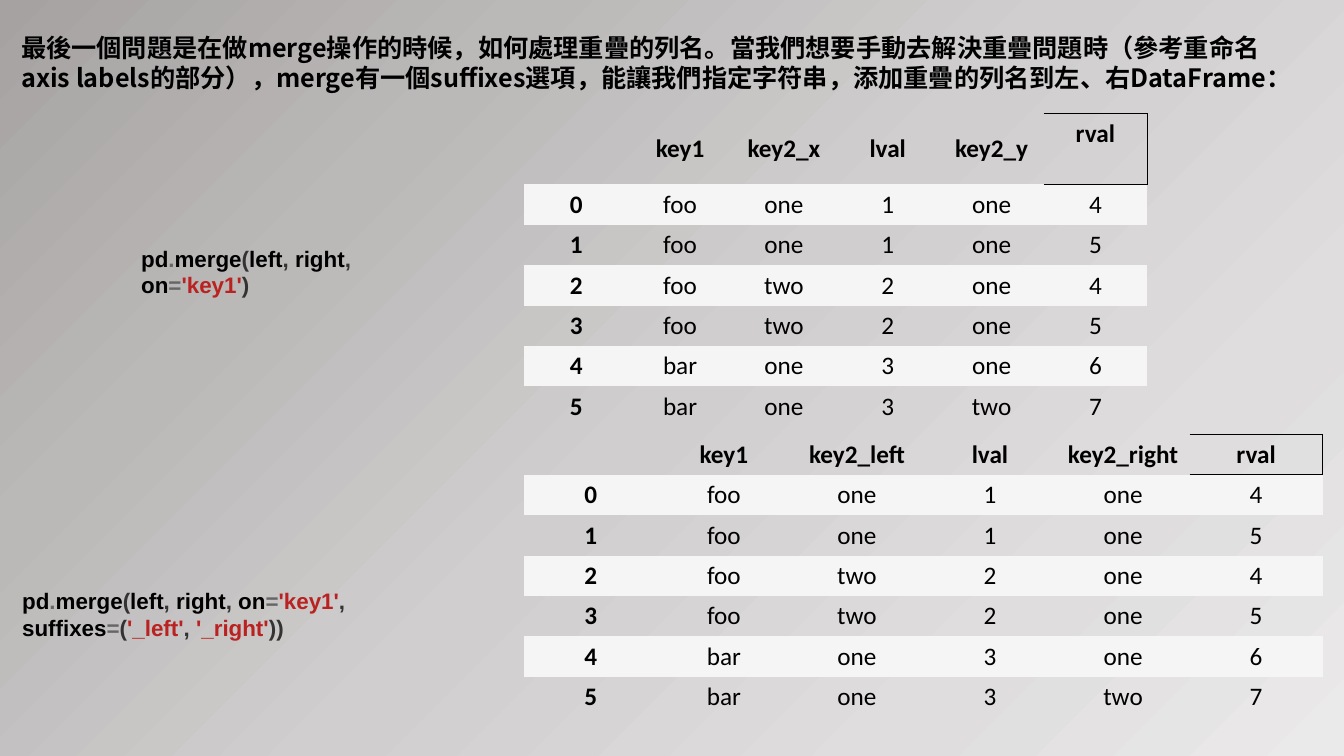
import lxml.etree
import pptx
import pptx.dml.color
import pptx.enum.text
import pptx.oxml
import pptx.oxml.ns
import pptx.util
from pptx.util import Inches

COLORS = {
    "black": "000000", "operator": "666666", "punct": "333333",
    "string": "BA2121", "band": "F5F5F5",
}
BACKGROUND = [(0, "A6A2A2"), (26, "BBB8B8"), (51, "D0CECE"), (78, "DFDDDD"), (100, "EBEAEA")]
NO_STYLE = "{2D5ABB26-0587-4C30-8999-92F81FD0307C}"
QUESTION = (
    "最後一個問題是在做merge操作的時候，如何處理重疊的列名。"
    "當我們想要手動去解決重疊問題時（參考重命名axis labels的部分），"
    "merge有一個suffixes選項，能讓我們指定字符串，添加重疊的列名到左、右DataFrame："
)
MERGE_CALL = [
    ("pd", "black"), (".", "operator"), ("merge", "black"), ("(", "punct"),
    ("left", "black"), (", ", "punct"), ("right", "black"), (", ", "punct"),
    ("on", "black"), ("=", "operator"), ("'key1'", "string"),
]
SUFFIXES = [
    (", ", "punct"), ("suffixes", "black"), ("=", "operator"), ("(", "punct"),
    ("'_left'", "string"), (", ", "punct"), ("'_right'", "string"), ("))", "punct"),
]
MERGED_ROWS = [
    ("foo", "one", 1, "one", 4),
    ("foo", "one", 1, "one", 5),
    ("foo", "two", 2, "one", 4),
    ("foo", "two", 2, "one", 5),
    ("bar", "one", 3, "one", 6),
    ("bar", "one", 3, "two", 7),
]


def rgb(name):
    return pptx.dml.color.RGBColor.from_string(COLORS[name])


def set_font(font, name, size, bold):
    font.name = name
    font.size = pptx.util.Pt(size)
    font.bold = bold


def set_background(s):
    fill = s.background.fill
    fill.gradient()
    fill.gradient_angle = 315  # counter-clockwise, so it runs to the lower right
    stops = s.element.find(".//" + pptx.oxml.ns.qn("a:gsLst"))
    for stop in list(stops):
        stops.remove(stop)
    for pos, color in BACKGROUND:
        gs = lxml.etree.SubElement(stops, pptx.oxml.ns.qn("a:gs"), pos=str(pos * 1000))
        lxml.etree.SubElement(gs, pptx.oxml.ns.qn("a:srgbClr"), val=color)


def set_title(s, text):
    sp = s.shapes.title
    sp.left, sp.top, sp.width, sp.height = Inches(0.11), Inches(0.27), Inches(12.91), Inches(0.71)
    tf = sp.text_frame
    tf.word_wrap = True
    tf.auto_size = pptx.enum.text.MSO_AUTO_SIZE.SHAPE_TO_FIT_TEXT
    tf.vertical_anchor = pptx.enum.text.MSO_ANCHOR.TOP
    p = tf.paragraphs[0]
    p.alignment = pptx.enum.text.PP_ALIGN.LEFT
    r = p.add_run()
    r.text = text
    set_font(r.font, "Noto Sans CJK SC", 18, True)
    r.font.color.rgb = rgb("black")
    lxml.etree.SubElement(r.font._element, pptx.oxml.ns.qn("a:ea"), typeface="Noto Sans CJK SC")


def add_code(s, left, top, width, tokens):
    sp = s.shapes.add_textbox(Inches(left), Inches(top), Inches(width), Inches(0.53))
    tf = sp.text_frame
    tf.word_wrap = True
    tf.vertical_anchor = pptx.enum.text.MSO_ANCHOR.MIDDLE
    tf.margin_left = tf.margin_top = tf.margin_right = tf.margin_bottom = 0
    p = tf.paragraphs[0]
    set_font(p.font, "Arial", 16, True)
    for text, color in tokens:
        r = p.add_run()
        r.text = text
        r.font.color.rgb = rgb(color)


def add_border(cell):
    """Outline the top, right and bottom of a cell."""
    props = cell._tc.get_or_add_tcPr()
    for index, side in enumerate(("R", "T", "B")):
        line = pptx.oxml.parse_xml(
            f'<a:ln{side} {pptx.oxml.ns.nsdecls("a")} w="12700"><a:solidFill>'
            f'<a:srgbClr val="{COLORS["black"]}"/></a:solidFill></a:ln{side}>')
        props.insert(index, line)


def fill_cell(cell, text, bold, banded):
    if banded:
        cell.fill.solid()
        cell.fill.fore_color.rgb = rgb("band")
    else:
        cell.fill.background()
    cell.vertical_anchor = pptx.enum.text.MSO_ANCHOR.MIDDLE
    p = cell.text_frame.paragraphs[0]
    p.text = text
    p.alignment = pptx.enum.text.PP_ALIGN.CENTER
    set_font(p.font, "Calibri", 18, bold)
    p.font.color.rgb = rgb("black")


def add_frame(s, top, column_width, header_height, header):
    """Add a data frame table with an index column."""
    rows = [("", *header)] + [(i, *row) for i, row in enumerate(MERGED_ROWS)]
    row_height = 0.4
    table = s.shapes.add_table(
        len(rows), len(rows[0]), Inches(5.2), Inches(top), Inches(column_width * len(rows[0])),
        Inches(header_height + row_height * len(MERGED_ROWS))).table
    table.first_row = table.horz_banding = False
    table._tbl.tblPr.find(pptx.oxml.ns.qn("a:tableStyleId")).text = NO_STYLE
    for column in table.columns:
        column.width = Inches(column_width)
    for i, row in enumerate(rows):
        table.rows[i].height = Inches(row_height if i else header_height)
        for j, value in enumerate(row):
            fill_cell(table.cell(i, j), str(value), i == 0 or j == 0, i % 2 == 1)
    last_header = table.cell(0, len(header))
    last_header.vertical_anchor = pptx.enum.text.MSO_ANCHOR.TOP
    add_border(last_header)


def main():
    prs = pptx.Presentation()
    prs.slide_width, prs.slide_height = Inches(13.33), Inches(7.5)
    s = prs.slides.add_slide(prs.slide_layouts[5])
    set_background(s)
    set_title(s, QUESTION)
    add_code(s, 1.4, 2.43, 2.71, MERGE_CALL + [(")", "punct")])
    add_frame(s, 1.13, 1.03, 0.7, ("key1", "key2_x", "lval", "key2_y", "rval"))
    add_code(s, 0.22, 5.83, 4.85, MERGE_CALL + SUFFIXES)
    add_frame(s, 4.31, 1.32, 0.4, ("key1", "key2_left", "lval", "key2_right", "rval"))
    prs.save("out.pptx")


if __name__ == "__main__":
    main()
